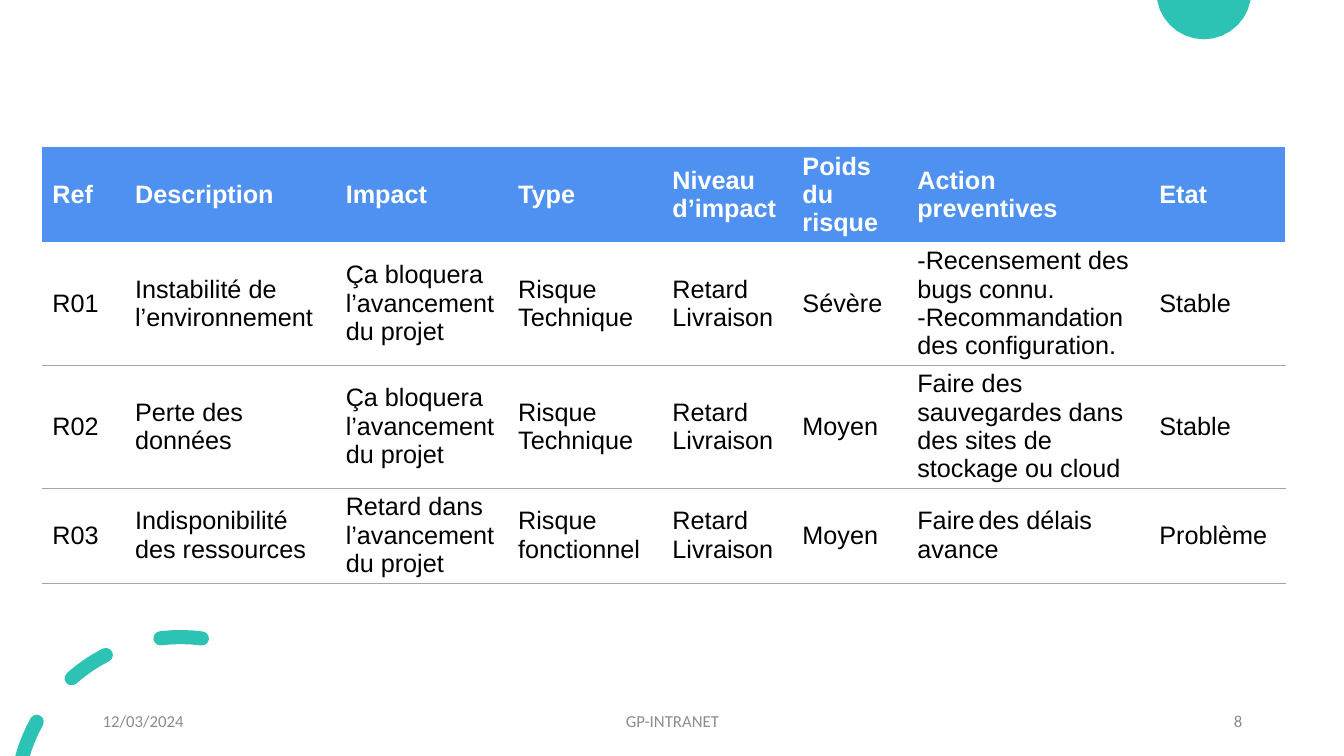
from math import asin, cos, degrees, radians, sin

from pptx import Presentation
from pptx.dml.color import RGBColor
from pptx.enum.text import MSO_ANCHOR, PP_ALIGN as AL
from pptx.oxml import parse_xml
from pptx.oxml.ns import nsdecls
from pptx.util import Inches, Pt

TEAL = RGBColor(0x2C, 0xC3, 0xB4)
BLUE = RGBColor(0x4E, 0x91, 0xF0)
WHITE = RGBColor(0xFF, 0xFF, 0xFF)
BLACK = RGBColor(0, 0, 0)
RULE = RGBColor(0xA6, 0xA6, 0xA6)
GREY = RGBColor(0x8C, 0x8C, 0x8C)

SLIDE_W, SLIDE_H = 13.33, 7.5
UNITS = 1000  # freeform units per inch
COLS = [0.82, 2.09, 1.71, 1.53, 1.29, 1.14, 2.4, 1.35]
ROWS = [0.94, 1.22, 1.22, 0.94]
# "|" separates runs, a newline separates paragraphs
RISKS = [
    ["Ref", "Description", "Impact", "Type", "Niveau d’impact",
     "Poids du risque", "Action preventives", "Etat"],
    ["R01", "Instabilité de l’environnement",
     "Ça bloquera l’avancement du projet", "Risque Technique",
     "Retard Livraison", "Sévère",
     "-Recensement des bugs connu.\n-Recommandation des configuration.",
     "Stable"],
    ["R02", "Perte des données", "Ça bloquera l’avancement du projet",
     "Risque Technique", "Retard Livraison", "Moyen",
     "Faire des sauvegardes dans des sites de stockage ou cloud", "Stable"],
    ["R03", "Indisponibilité| |des ressources",
     "Retard dans l’avancement du projet", "Risque fonctionnel",
     "Retard Livraison", "Moyen", "Faire| |des délais avance", "Problème"],
]


def arc(cx, cy, r, start, end, steps=4):
    """Points on a circle, angles in degrees counter-clockwise from the right."""
    angles = [radians(start + (end - start) * i / steps)
              for i in range(steps + 1)]
    return [(cx + r * cos(a), cy - r * sin(a)) for a in angles]


def dash(cx, cy, r, half, start, end):
    """Outline of a round-capped arc; without a start it is cut by the slide foot."""
    outer, inner = r + half, r - half
    tip = arc(cx, cy, r, end, end, 1)[0]
    head = arc(*tip, half, end, end - 180, 6)[1:-1]
    if start is None:
        foot = cy - SLIDE_H
        outer_start, inner_start = (180 - degrees(asin(foot / q))
                                    for q in (outer, inner))
        tail = []
    else:
        outer_start = inner_start = start
        tip = arc(cx, cy, r, start, start, 1)[0]
        tail = arc(*tip, half, start + 180, start, 6)[1:-1]
    return (arc(cx, cy, outer, outer_start, end) + head
            + arc(cx, cy, inner, end, inner_start) + tail)


def border(cell, side, color=None, width=1):
    if color is None:
        fill = "<a:noFill/>"
    else:
        fill = f'<a:solidFill><a:srgbClr val="{color}"/></a:solidFill>'
    cell._tc.get_or_add_tcPr().append(parse_xml(
        f'<a:ln{side} {nsdecls("a")} w="{Pt(width)}">{fill}</a:ln{side}>'))


class Deck:
    def __init__(self):
        self.prs = Presentation()
        self.prs.slide_width = Inches(SLIDE_W)
        self.prs.slide_height = Inches(SLIDE_H)
        self.s = self.prs.slides.add_slide(self.prs.slide_layouts[6])

    def style(self, r, size, font, color, bold=False):
        r.font.size, r.font.name, r.font.bold = Pt(size), font, bold
        r.font.color.rgb = color

    def outline(self, *contours):
        """One teal freeform made of closed contours."""
        scaled = [[(round(x * UNITS), round(y * UNITS)) for x, y in points]
                  for points in contours]
        fb = self.s.shapes.build_freeform(*scaled[0][0],
                                          scale=Inches(1) / UNITS)
        for i, points in enumerate(scaled):
            if i:
                fb.move_to(*points[0])
            fb.add_line_segments(points[1:], close=True)
        sp = fb.convert_to_shape()
        sp.shadow.inherit = False
        sp.fill.solid()
        sp.fill.fore_color.rgb = TEAL
        sp.line.fill.background()

    def cell(self, cell, text, row):
        header = row == 0
        cell.vertical_anchor = MSO_ANCHOR.MIDDLE
        for side in "LR":
            border(cell, side, None if header else WHITE)
        border(cell, "T", RULE if row > 1 else None, 0.25)
        border(cell, "B", None if header else RULE, 0.25)
        if header:
            cell.fill.solid()
            cell.fill.fore_color.rgb = BLUE
        else:
            cell.fill.background()
        tf = cell.text_frame
        tf.text = text.replace("|", "")
        for p, line in zip(tf.paragraphs, text.split("\n")):
            parts = line.split("|")
            p.runs[0].text = parts[0]
            for part in parts[1:]:
                p.add_run().text = part
            for r in p.runs:
                if r.text == " ":
                    self.style(r, 12, "Calibri", BLACK)
                else:
                    self.style(r, 18, "Arial", WHITE if header else BLACK,
                               header)

    def table(self, x, y, cols, rows, data):
        t = self.s.shapes.add_table(
            len(rows), len(cols), Inches(x), Inches(y),
            Inches(sum(cols)), Inches(sum(rows))).table
        t.horz_banding = False
        for col, w in zip(t.columns, cols):
            col.width = Inches(w)
        for i, (row, h) in enumerate(zip(t.rows, rows)):
            row.height = Inches(h)
            for c, text in zip(row.cells, data[i]):
                self.cell(c, text, i)

    def footer(self, x, w, text, align):
        tb = self.s.shapes.add_textbox(
            Inches(x), Inches(6.95), Inches(w), Inches(0.4))
        tf = tb.text_frame
        tf.word_wrap = True
        tf.vertical_anchor = MSO_ANCHOR.MIDDLE
        tf.text = text
        p = tf.paragraphs[0]
        p.alignment = align
        self.style(p.runs[0], 12, "Calibri", GREY)


def main():
    deck = Deck()
    deck.outline(arc(11.94, -0.08, 0.47, 190, 350, 14))
    deck.outline(*(dash(1.79, 7.95, 1.63, 0.07, start, end)
                   for start, end in [(None, 151), (131.5, 117), (97, 82.5)]))
    deck.table(0.42, 1.46, COLS, ROWS, RISKS)
    deck.footer(0.92, 3, "12/03/2024", AL.LEFT)
    deck.footer(4.42, 4.5, "GP-INTRANET", AL.CENTER)
    deck.footer(9.42, 3, "8", AL.RIGHT)
    deck.prs.save("out.pptx")


if __name__ == "__main__":
    main()
